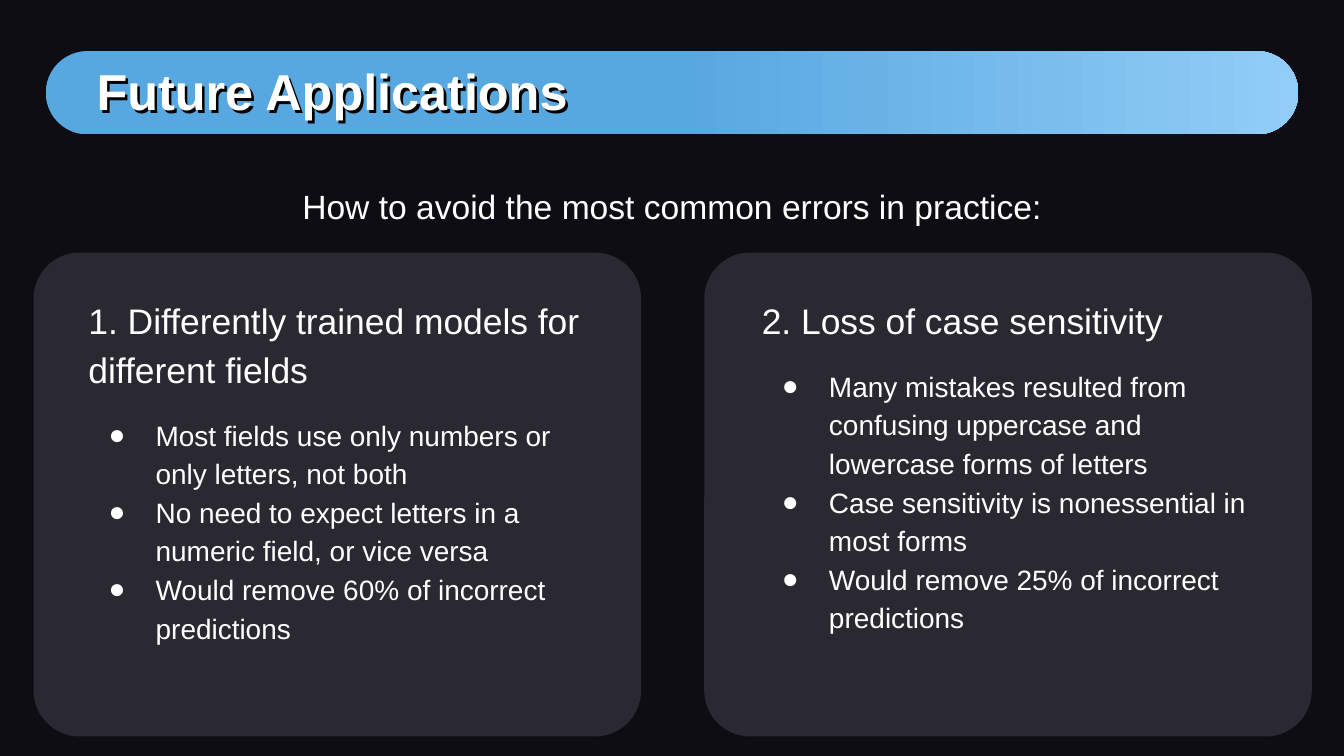
from lxml import etree
from pptx import Presentation
from pptx.dml.color import RGBColor
from pptx.enum.shapes import MSO_SHAPE
from pptx.enum.text import MSO_ANCHOR, PP_ALIGN
from pptx.oxml.ns import qn
from pptx.util import Inches, Pt

ROUNDED = MSO_SHAPE.ROUNDED_RECTANGLE
TOP = MSO_ANCHOR.TOP
LEFT, CENTER = PP_ALIGN.LEFT, PP_ALIGN.CENTER

BACKGROUND = RGBColor(0x0E, 0x0D, 0x14)
CARD = RGBColor(0x2A, 0x29, 0x32)
BLUE = RGBColor(0x57, 0xA7, 0xE0)
LIGHT_BLUE = RGBColor(0x91, 0xCD, 0xF7)
WHITE = RGBColor(0xFF, 0xFF, 0xFF)
BLACK = RGBColor(0x00, 0x00, 0x00)
FONT = "Arial"

TITLE = "Future Applications"
INTRO = "How to avoid the most common errors in practice:"
CARDS = [
    {
        "left": 0.25,
        "text_left": 0.56,
        "text_width": 3.9,
        "heading": "1. Differently trained models for different fields",
        "bullets": [
            "Most fields use only numbers or only letters, not both",
            "No need to expect letters in a numeric field, or vice versa",
            "Would remove 60% of incorrect predictions",
        ],
    },
    {
        "left": 5.24,
        "text_left": 5.57,
        "text_width": 3.87,
        "heading": "2. Loss of case sensitivity",
        "bullets": [
            "Many mistakes resulted from confusing uppercase and lowercase forms of letters",
            "Case sensitivity is nonessential in most forms",
            "Would remove 25% of incorrect predictions",
        ],
    },
]


def add_panel(slide, box, corner):
    shape = slide.shapes.add_shape(ROUNDED, *map(Inches, box))
    shape.adjustments[0] = corner
    shape.shadow.inherit = False
    shape.line.fill.background()
    return shape


def add_text_box(slide, box):
    shape = slide.shapes.add_textbox(*map(Inches, box))
    settings = {"word_wrap": True, "vertical_anchor": TOP}
    for side in ("left", "top", "right", "bottom"):
        settings[f"margin_{side}"] = Inches(0.1)
    for name, value in settings.items():
        setattr(shape.text_frame, name, value)
    return shape


def write(paragraph, text, size, bold=False, **formats):
    for name, value in formats.items():
        setattr(paragraph, name, value)
    run = paragraph.add_run()
    run.text = text
    for name, value in {"name": FONT, "size": Pt(size), "bold": bold}.items():
        setattr(run.font, name, value)
    run.font.color.rgb = WHITE


def add_bullet(paragraph, size):
    properties = paragraph._p.get_or_add_pPr()
    properties.set("marL", str(Inches(0.5)))
    properties.set("indent", str(Inches(-0.35)))
    color = etree.SubElement(properties, qn("a:buClr"))
    etree.SubElement(color, qn("a:srgbClr"), val=str(WHITE))
    etree.SubElement(properties, qn("a:buSzPts"), val=str(size * 100))
    etree.SubElement(properties, qn("a:buFont"), typeface=FONT)
    etree.SubElement(properties, qn("a:buChar"), char="●")


def add_shadow(shape):
    effects = etree.SubElement(shape._element.spPr, qn("a:effectLst"))
    shadow = etree.SubElement(
        effects, qn("a:outerShdw"), dist=str(Pt(2)), dir="2700000", algn="bl"
    )
    etree.SubElement(shadow, qn("a:srgbClr"), val=str(BLACK))


presentation = Presentation()
presentation.slide_width = Inches(10)
presentation.slide_height = Inches(10) * 9 // 16
slide = presentation.slides.add_slide(presentation.slide_layouts[6])
slide.background.fill.solid()
slide.background.fill.fore_color.rgb = BACKGROUND

banner = add_panel(slide, (0.34, 0.38, 9.32, 0.62), 0.5)
banner.fill.gradient()
banner.fill.gradient_angle = 0
for stop, position, color in zip(
    banner.fill.gradient_stops, (0.5, 1), (BLUE, LIGHT_BLUE)
):
    stop.position = position
    stop.color.rgb = color

title = add_text_box(slide, (0.62, 0.35, 6.8, 0.69))
add_shadow(title)
write(title.text_frame.paragraphs[0], TITLE, 27, bold=True, alignment=LEFT)

intro = add_text_box(slide, (0.34, 1.24, 9.32, 0.56))
write(
    intro.text_frame.paragraphs[0], INTRO, 18,
    alignment=CENTER, line_spacing=1.15, space_after=Pt(12),
)

for card in CARDS:
    panel = add_panel(slide, (card["left"], 1.88, 4.52, 3.6), 0.095)
    panel.fill.solid()
    panel.fill.fore_color.rgb = CARD
    text_box = add_text_box(slide, (card["text_left"], 2.08, card["text_width"], 3.26))
    frame = text_box.text_frame
    write(frame.paragraphs[0], card["heading"], 19, alignment=LEFT, line_spacing=1.15)
    for index, bullet in enumerate(card["bullets"]):
        paragraph = frame.add_paragraph()
        space = Pt(0 if index else 12)
        write(
            paragraph, bullet, 15,
            alignment=LEFT, line_spacing=1.15, space_before=space,
        )
        add_bullet(paragraph, 15)

presentation.save("out.pptx")
